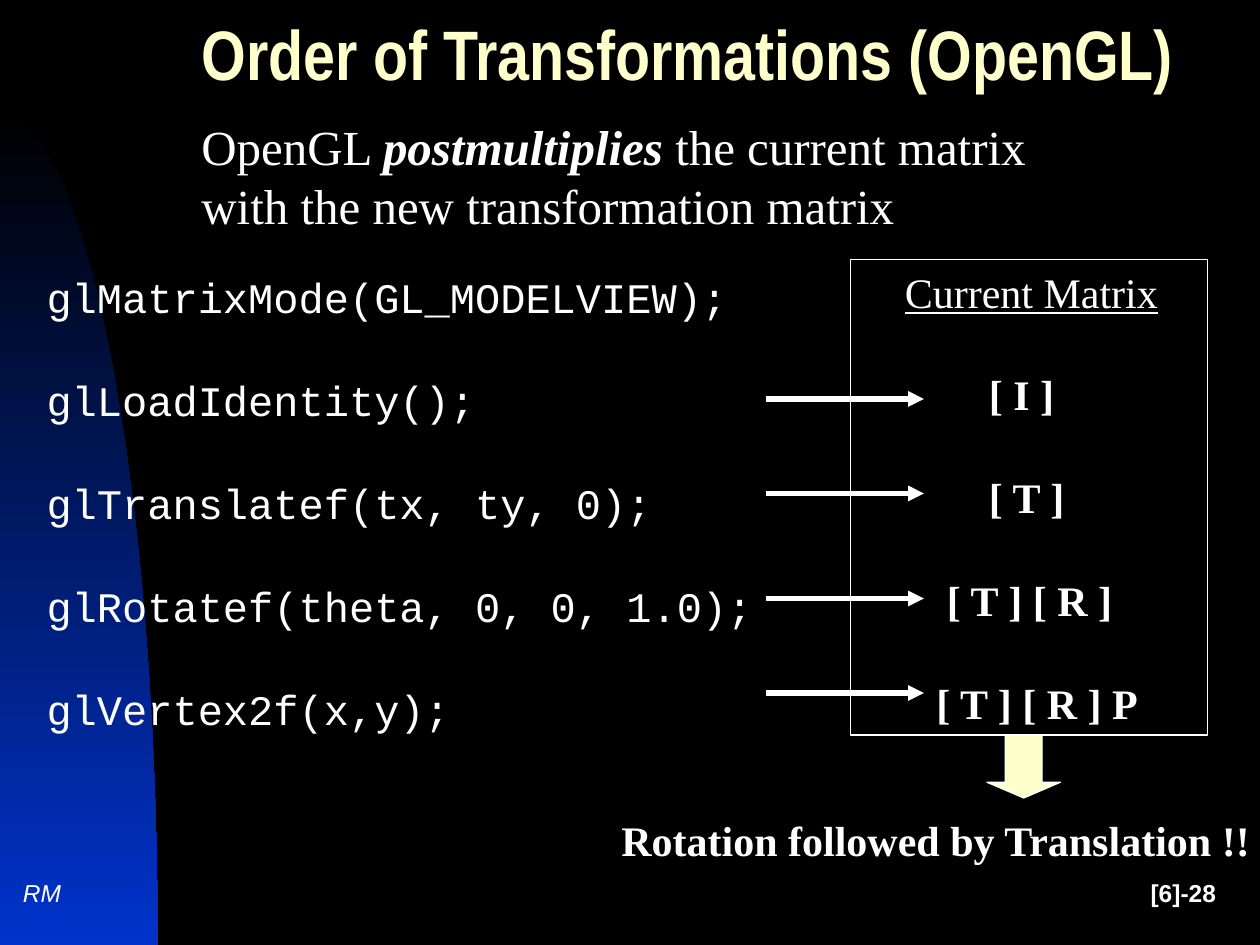
"""Build the slide on the order of transformations in OpenGL."""
import pptx
import pptx.dml.color
import pptx.enum.dml
import pptx.enum.shapes
import pptx.enum.text
import pptx.oxml
import pptx.oxml.ns
import pptx.util

RGBColor = pptx.dml.color.RGBColor
Pt = pptx.util.Pt
SHAPE = pptx.enum.shapes.MSO_SHAPE
ANCHOR = pptx.enum.text.MSO_ANCHOR
ALIGN = pptx.enum.text.PP_ALIGN

BLACK = RGBColor(0x00, 0x00, 0x00)
BLUE = RGBColor(0x00, 0x33, 0xCC)
WHITE = RGBColor(0xFF, 0xFF, 0xFF)
CREAM = RGBColor(0xFF, 0xFF, 0xCC)
SERIF, SANS, NARROW, MONO = "Times New Roman", "Arial", "Arial Narrow", "Courier New"

COLS, ROWS = 120, 90
UNIT = pptx.util.Inches(10) // COLS

CODE = ["glMatrixMode(GL_MODELVIEW);", "glLoadIdentity();", "glTranslatef(tx, ty, 0);",
        "glRotatef(theta, 0, 0, 1.0);", "glVertex2f(x,y);"]
MATRICES = [("Current Matrix", 4), ("[ I ]", 12), ("[ T ]", 12),
            ("[ T ] [ R ]", 8), ("[ T ] [ R ] P", 7)]
ARROW_ROWS = [38, 47, 57, 66]


def grid(*cells):
    """Turn grid units into lengths."""
    return [round(c * UNIT) for c in cells]


def style(p, font, size, color=WHITE, bold=False, italic=False):
    """Format every run of a paragraph."""
    for r in p.runs:
        r.font.name, r.font.size = font, Pt(size)
        r.font.bold, r.font.italic = bold, italic
        r.font.color.rgb = color


def add_text(s, box, lines, font, size, anchor=ANCHOR.TOP, align=ALIGN.LEFT, gap=0, **look):
    """Place a text box holding one paragraph per line."""
    tf = s.shapes.add_textbox(*grid(*box)).text_frame
    tf.word_wrap = True
    tf.vertical_anchor = anchor
    tf.text = "\n".join(lines)
    for p in tf.paragraphs:
        p.alignment, p.space_before = align, Pt(gap)
        style(p, font, size, **look)
    return tf


def add_backdrop(s, box):
    """Paint the black background and the curved blue gradient."""
    s.background.fill.solid()
    s.background.fill.fore_color.rgb = BLACK
    left, top, width, height = grid(*box)
    steps = [i / 60 for i in range(61)]
    curve = [(left + width * (1.65 * t * (1 - t) ** 2 + 3 * t * t * (1 - t) + t ** 3),
              top + height * (1.35 * t * t * (1 - t) + t ** 3)) for t in steps]
    builder = s.shapes.build_freeform(left, top)
    builder.add_line_segments(curve[1:] + [(left, top + height)], close=True)
    sp = builder.convert_to_shape()
    sp.shadow.inherit = False
    sp.line.fill.background()
    sp.fill.gradient()
    sp.fill.gradient_angle = 270
    for stop, color, position in zip(sp.fill.gradient_stops, (BLACK, BLUE), (0, 1)):
        stop.color.rgb, stop.position = color, position


def add_title(s, box):
    """Move and format the title placeholder."""
    title = s.shapes.title
    title.left, title.top, title.width, title.height = grid(*box)
    tf = title.text_frame
    tf.text = "Order of Transformations (OpenGL)"
    tf.auto_size = pptx.enum.text.MSO_AUTO_SIZE.NONE
    tf.vertical_anchor = ANCHOR.MIDDLE
    p = tf.paragraphs[0]
    p.alignment, p.line_spacing = ALIGN.LEFT, 0.7
    style(p, NARROW, 40, CREAM, bold=True)


def add_statement(s, box):
    """Place the sentence with its emphasised word."""
    p = add_text(s, box, [""], SERIF, 28).paragraphs[0]
    for text in ("OpenGL ", "postmultiplies ", "the current matrix with the new transformation matrix"):
        p.add_run().text = text
    style(p, SERIF, 28)
    p.runs[1].font.bold = p.runs[1].font.italic = True


def add_matrix_box(s, box):
    """Draw the outlined list of current matrices."""
    sp = s.shapes.add_shape(SHAPE.RECTANGLE, *grid(*box))
    sp.shadow.inherit = False
    sp.fill.background()
    sp.line.color.rgb, sp.line.width = WHITE, Pt(0.75)
    tf = sp.text_frame
    tf.word_wrap = True
    tf.vertical_anchor = ANCHOR.TOP
    tf.text = "\n".join(text for text, _ in MATRICES)
    for i, (p, (_, indent)) in enumerate(zip(tf.paragraphs, MATRICES)):
        p.alignment, p.space_before = ALIGN.LEFT, Pt(30)
        p._p.get_or_add_pPr().set("marL", str(indent * UNIT))
        style(p, SERIF, 24, bold=i > 0)
    tf.paragraphs[0].runs[0].font.underline = True


def add_arrow(s, left, right, row):
    """Draw one horizontal arrow."""
    line = s.shapes.add_connector(pptx.enum.shapes.MSO_CONNECTOR.STRAIGHT,
                                  *grid(left, row, right, row))
    line.line.color.rgb, line.line.width = WHITE, Pt(3)
    ln = line.line._get_or_add_ln()
    tail = pptx.oxml.parse_xml(f'<a:tailEnd {pptx.oxml.ns.nsdecls("a")} type="triangle"/>')
    ln.append(tail)
    ln.getparent().append(pptx.oxml.parse_xml(f'<a:effectLst {pptx.oxml.ns.nsdecls("a")}/>'))


def add_result(s, arrow_box, text_box):
    """Draw the down arrow and the conclusion under it."""
    sp = s.shapes.add_shape(SHAPE.DOWN_ARROW, *grid(*arrow_box))
    sp.shadow.inherit = False
    sp.adjustments[0], sp.adjustments[1] = 0.5, 0.25
    sp.fill.solid()
    sp.fill.fore_color.rgb = CREAM
    sp.line.color.rgb, sp.line.width = WHITE, Pt(0.75)
    tf = add_text(s, text_box, ["Rotation followed by Translation !!"], SERIF, 24, bold=True)
    tf.word_wrap = False


def add_footer(s, row, height):
    """Place the initials and the page number."""
    add_text(s, (1, row, 7, height), ["RM"], SANS, 14, ANCHOR.MIDDLE, italic=True)
    add_text(s, (92, row, 25, height), ["[6]-28"], SANS, 14, ANCHOR.MIDDLE, ALIGN.RIGHT, bold=True)


def main():
    """Assemble and save the slide."""
    prs = pptx.Presentation()
    prs.slide_width, prs.slide_height = grid(COLS, ROWS)
    s = prs.slides.add_slide(prs.slide_layouts[5])
    add_backdrop(s, (0, 11, 15, 79))
    add_footer(s, 82, 6)
    add_statement(s, (18, 10.5, 86, 12.5))
    add_title(s, (18, 0, 99, 12))
    add_text(s, (3.25, 25.3, 70.5, 45.25), CODE, MONO, 24, gap=30)
    add_matrix_box(s, (81, 24.75, 34, 45.25))
    for row in ARROW_ROWS:
        add_arrow(s, 73, 88, row)
    add_result(s, (94, 70, 7, 6), (58, 77, 62.6, 6))
    prs.save("out.pptx")


if __name__ == "__main__":
    main()
